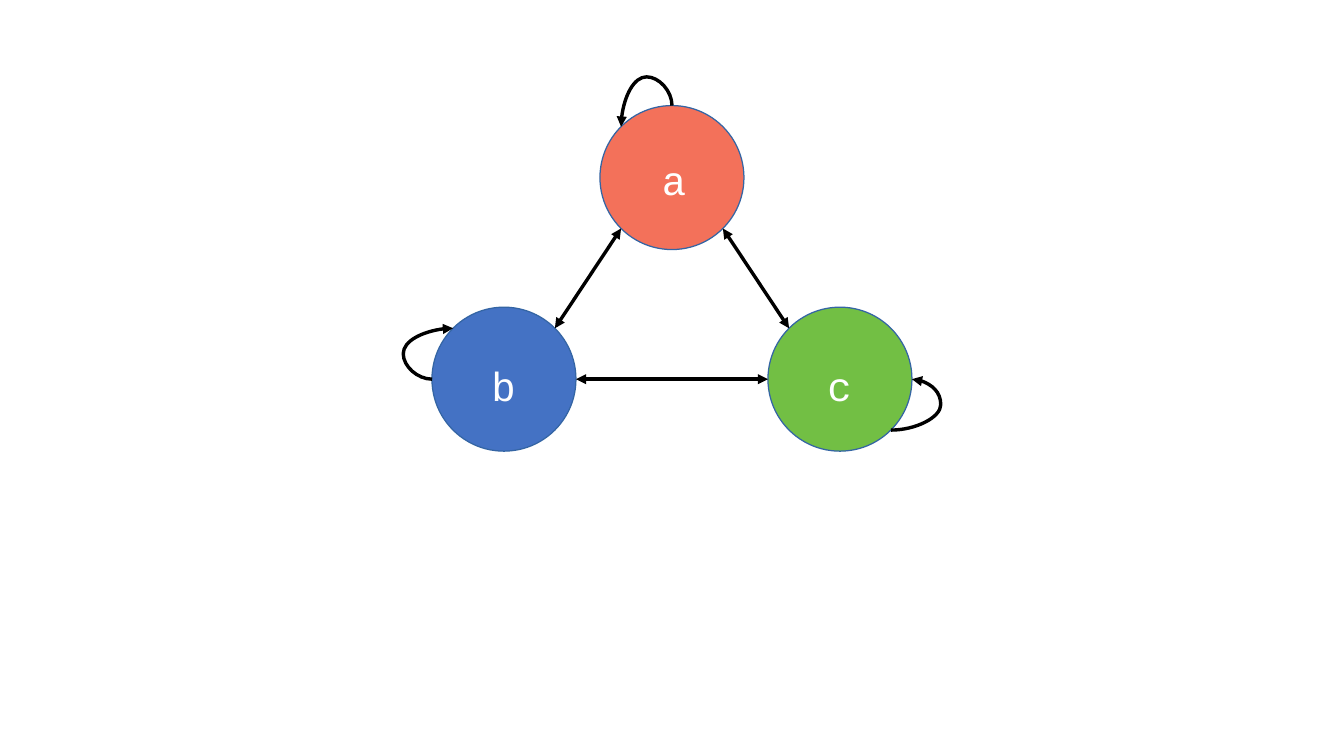
from math import cos, sin, radians
from lxml import etree
from pptx import Presentation
from pptx.dml.color import RGBColor
from pptx.enum.shapes import MSO_CONNECTOR, MSO_SHAPE
from pptx.enum.text import MSO_AUTO_SIZE
from pptx.oxml.ns import qn
from pptx.util import Cm, Pt

OVAL = MSO_SHAPE.OVAL
LINE, CURVE = MSO_CONNECTOR.STRAIGHT, MSO_CONNECTOR.CURVE
GROW = MSO_AUTO_SIZE.SHAPE_TO_FIT_TEXT

# Content: lengths in cm, angles in degrees clockwise from the right
RAD = 1.5
BULGE = 0.6
BOX = (1.02, 1.22)
NODES = {  # centre, fill, label shift
    "c": ((17.5, 7.9), "72BF44", (0, 0.1)),
    "a": ((14, 3.7), "F3715A", (0.05, 0)),
    "b": ((10.5, 7.9), "4472C4", (0, 0.1)),
}
LINKS = [("a", 135, "b", -45), ("a", 45, "c", -135), ("b", 0, "c", 180)]
LOOPS = [  # node, start angle, end angle, side of the bulge
    ("a", -90, -135, "top"),
    ("c", 45, 0, "right"),
    ("b", 180, -135, "left"),
]
RIM, INK, WHITE = "3465A4", "000000", "FFFFFF"
FONT = {"name": "Courier New", "size": Pt(24)}
FRAME = {"word_wrap": False, "auto_size": GROW,
         "margin_left": Cm(0.25), "margin_right": Cm(0.25),
         "margin_top": Cm(0.13), "margin_bottom": Cm(0.13)}


def rgb(code):
    return RGBColor.from_string(code)


def apply(part, vals):
    for key, val in vals.items():
        setattr(part, key, val)


def spot(name, deg):
    x, y = NODES[name][0]
    return x + RAD * cos(radians(deg)), y + RAD * sin(radians(deg))


def wire(kind, start, end, tips):
    item = deck.add_connector(kind, *map(Cm, start + end))
    item.line.color.rgb = rgb(INK)
    item.line.width = Pt(0)
    props = item._element.spPr
    for tip in tips:
        etree.SubElement(props.find(qn("a:ln")), qn(tip), type="triangle")
    etree.SubElement(props, qn("a:effectLst"))
    return props


def loop(name, deg1, deg2, side):
    start, end = spot(name, deg1), spot(name, deg2)
    wide, high = abs(end[0] - start[0]), abs(end[1] - start[1])
    if side == "top":  # box laid out upright, then turned a quarter
        mid_x, mid_y = (start[0] + end[0]) / 2, (start[1] + end[1]) / 2
        wide, high = high, wide
        start = (mid_x - wide / 2, mid_y - high / 2)
        end = (mid_x + wide / 2, mid_y + high / 2)
    props = wire(CURVE, start, end, ["a:tailEnd"])
    if side == "top":
        props.find(qn("a:xfrm")).set("rot", str(90 * 60000))
    bend = 1 + BULGE / wide if side == "right" else -BULGE / wide
    geom = props.find(qn("a:prstGeom"))
    geom.set("prst", "curvedConnector3")
    etree.SubElement(geom.find(qn("a:avLst")), qn("a:gd"),
                     name="adj1", fmla=f"val {round(bend * 100000)}")


show = Presentation()
show.slide_width, show.slide_height = Cm(28), Cm(15.75)
deck = show.slides.add_slide(show.slide_layouts[6]).shapes

# Circles
for (x, y), fill, _ in NODES.values():
    disc = deck.add_shape(OVAL, Cm(x - RAD), Cm(y - RAD), Cm(2 * RAD), Cm(2 * RAD))
    disc.shadow.inherit = False
    disc.fill.solid()
    disc.fill.fore_color.rgb = rgb(fill)
    disc.line.color.rgb = rgb(RIM)
    disc.line.width = Pt(0)

# Labels
for name in sorted(NODES):
    (x, y), _, (dx, dy) = NODES[name]
    wide, high = BOX
    box = deck.add_textbox(Cm(x + dx - wide / 2), Cm(y + dy - high / 2),
                           Cm(wide), Cm(high))
    apply(box.text_frame, FRAME)
    run = box.text_frame.paragraphs[0].add_run()
    run.text = name
    apply(run.font, FONT)
    run.font.color.rgb = rgb(WHITE)

# Links between circles
for one, deg1, two, deg2 in LINKS:
    wire(LINE, spot(one, deg1), spot(two, deg2), ["a:headEnd", "a:tailEnd"])

# Loops back to the same circle
for item in LOOPS:
    loop(*item)

show.save("out.pptx")
